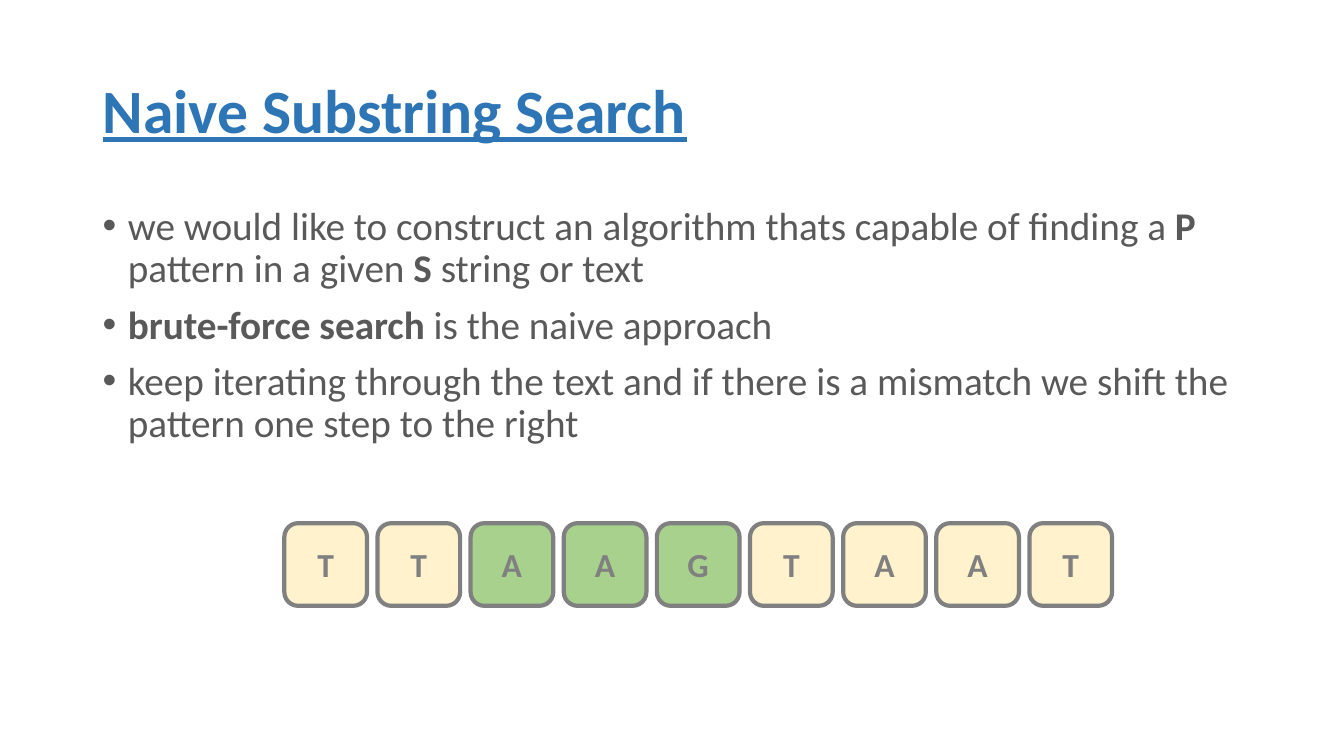
"""Build the Naive Substring Search slide."""
from lxml import etree
from pptx import Presentation
from pptx.dml.color import RGBColor
from pptx.enum import shapes, text
from pptx.oxml import ns
from pptx.util import Inches, Pt


def rgb(value):
    return RGBColor.from_string(value)


def add_run(p, content, size, color, bold):
    r = p.add_run()
    r.text = content
    r.font.name = "Calibri"
    r.font.size = Pt(size)
    r.font.bold = bold
    r.font.color.rgb = rgb(color)
    return r


prs = Presentation()
prs.slide_width, prs.slide_height = Inches(13.33), Inches(7.5)
s = prs.slides.add_slide(prs.slide_layouts[6])

title = s.shapes.add_textbox(Inches(0.92), Inches(0.4), Inches(11.5), Inches(1.45))
tf = title.text_frame
tf.word_wrap = True
tf.vertical_anchor = text.MSO_ANCHOR.MIDDLE
p = tf.paragraphs[0]
p.line_spacing = 0.9
add_run(p, "Naive Substring Search", 44, "2E75B6", True).font.underline = True

bullets = [
    [("we would like to construct an algorithm thats capable of finding a ", False),
     ("P", True), (" pattern in a given ", False), ("S ", True),
     ("string or text", False)],
    [("brute-force search", True), (" is the naive approach", False)],
    [("keep iterating through the text and if there is a mismatch we shift the "
      "pattern one step to the right", False)],
]
body = s.shapes.add_textbox(Inches(0.92), Inches(2), Inches(11.5), Inches(5.34))
tf = body.text_frame
tf.word_wrap = True
for i, runs in enumerate(bullets):
    p = tf.add_paragraph() if i else tf.paragraphs[0]
    p.line_spacing = 0.9
    p.space_before = Pt(10 if i else 0)
    pPr = p._p.get_or_add_pPr()
    pPr.set("marL", str(Inches(0.25)))
    pPr.set("indent", str(-Inches(0.25)))
    etree.SubElement(pPr, ns.qn("a:buFont")).set("typeface", "Arial")
    etree.SubElement(pPr, ns.qn("a:buChar")).set("char", "•")
    for content, bold in runs:
        add_run(p, content, 28, "595959", bold)

letters = "TTAAGTAAT"
matched = range(2, 5)
side = Inches(0.82)
first, last = 2.82, 10.21
pitch = (last - first) / (len(letters) - 1)
for i, letter in enumerate(letters):
    sp = s.shapes.add_shape(shapes.MSO_SHAPE.ROUNDED_RECTANGLE,
                            Inches(first + i * pitch), Inches(5.19), side, side)
    sp.shadow.inherit = False
    sp.fill.solid()
    sp.fill.fore_color.rgb = rgb("A9D18E" if i in matched else "FFF2CC")
    sp.line.color.rgb = rgb("808080")
    sp.line.width = Pt(3)
    tf = sp.text_frame
    tf.vertical_anchor = text.MSO_ANCHOR.MIDDLE
    p = tf.paragraphs[0]
    p.alignment = text.PP_ALIGN.CENTER
    add_run(p, letter, 24, "808080", True)

prs.save("out.pptx")
